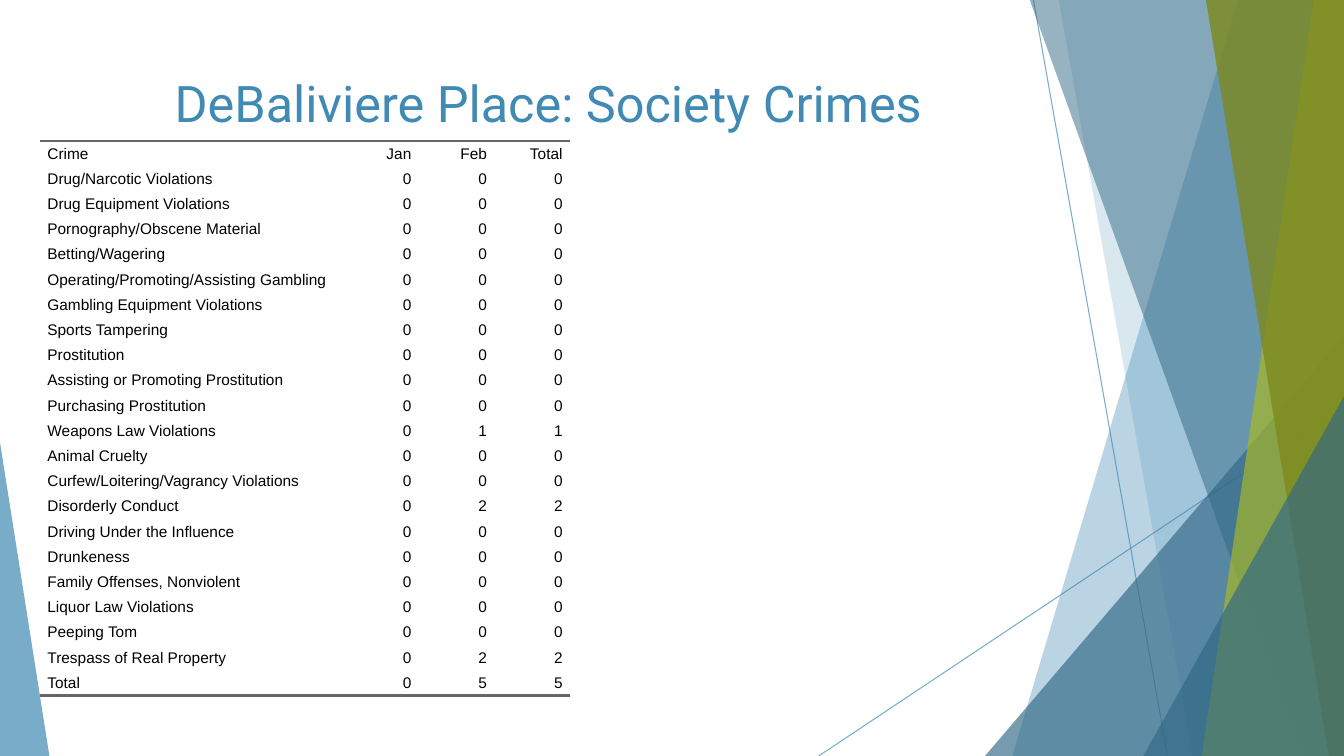
from collections import namedtuple
from dataclasses import dataclass

from lxml import etree
from pptx import Presentation
from pptx.dml.color import RGBColor
from pptx.enum import shapes, text
from pptx.oxml import ns, parse_xml
from pptx.util import Inches, Pt

Box = namedtuple("Box", "left top width height")


@dataclass(frozen=True)
class Theme:
    """Colours, fonts and type sizes of the slide."""
    blue: str = "418AB3"
    deep_blue: str = "316886"
    lime: str = "A6B727"
    olive: str = "7D891D"
    rule: str = "666666"
    ink: str = "000000"
    title_font: str = "Roboto"
    table_font: str = "Arial"
    title_size: int = 36
    table_size: int = 11
    rule_width: int = 2
    plain_table: str = "{2D5ABB26-0587-4C30-8999-92F81FD0307C}"


THEME = Theme()
HEADER = ("Crime", "Jan", "Feb", "Total")
COLUMN_WIDTHS = (3, 0.75, 0.75, 0.75)
ROW_HEIGHT = 0.25
CRIMES = (
    ("Drug/Narcotic Violations", 0, 0),
    ("Drug Equipment Violations", 0, 0),
    ("Pornography/Obscene Material", 0, 0),
    ("Betting/Wagering", 0, 0),
    ("Operating/Promoting/Assisting Gambling", 0, 0),
    ("Gambling Equipment Violations", 0, 0),
    ("Sports Tampering", 0, 0),
    ("Prostitution", 0, 0),
    ("Assisting or Promoting Prostitution", 0, 0),
    ("Purchasing Prostitution", 0, 0),
    ("Weapons Law Violations", 0, 1),
    ("Animal Cruelty", 0, 0),
    ("Curfew/Loitering/Vagrancy Violations", 0, 0),
    ("Disorderly Conduct", 0, 2),
    ("Driving Under the Influence", 0, 0),
    ("Drunkeness", 0, 0),
    ("Family Offenses, Nonviolent", 0, 0),
    ("Liquor Law Violations", 0, 0),
    ("Peeping Tom", 0, 0),
    ("Trespass of Real Property", 0, 2),
)


def set_colour(fill, colour, opacity):
    """Make a fill solid with the given opacity in percent."""
    fill.solid()
    fill.fore_color.rgb = RGBColor.from_string(colour)
    for element in fill._xPr.iter(ns.qn("a:srgbClr")):
        etree.SubElement(element, ns.qn("a:alpha")).set("val", str(opacity * 1000))


def finish_facet(shape, colour, opacity):
    """Give a facet its colour, without outline or shadow."""
    set_colour(shape.fill, colour, opacity)
    shape.line.fill.background()
    shape.shadow.inherit = False


def add_thin_line(slide, box, start, end):
    """Draw a fine line between two points of the box."""
    points = [Inches(origin + offset) for point in (start, end)
              for origin, offset in zip(box[:2], point)]
    line = slide.shapes.add_connector(shapes.MSO_CONNECTOR.STRAIGHT, *points)
    line.line.width = Pt(0.75)
    set_colour(line.line.fill, THEME.blue, 70)
    etree.SubElement(line._element.spPr, ns.qn("a:effectLst"))


def add_slanted_facet(slide, box, top_x, bottom_x, colour, opacity):
    """Fill the box from a slanted left edge to its right side."""
    top, bottom = box.top - 0.01, box.top + box.height
    right = box.left + box.width
    corners = [(Inches(x), Inches(y)) for x, y in (
        (box.left + top_x, top), (right, top), (right, bottom), (box.left + bottom_x, bottom))]
    builder = slide.shapes.build_freeform(*corners[0])
    builder.add_line_segments(corners[1:], close=True)
    finish_facet(builder.convert_to_shape(), colour, opacity)


def add_corner_facet(slide, box, apex, colour, opacity):
    """Fill the box with a triangle whose apex lies at a share of its width."""
    triangle = slide.shapes.add_shape(shapes.MSO_SHAPE.ISOSCELES_TRIANGLE, *map(Inches, box))
    triangle.adjustments[0] = apex
    finish_facet(triangle, colour, opacity)


def add_right_facets(slide, box):
    """Layer the lines and facets of the right-hand decoration."""
    def corner(width, height):
        """Place a deep blue triangle in the bottom right corner."""
        corner_box = Box(box.left + box.width - width, box.top + box.height - height, width, height)
        add_corner_facet(slide, corner_box, 1, THEME.deep_blue, 66)

    add_thin_line(slide, box, (2.13, 0), (3.46, box.height))
    add_thin_line(slide, box, (box.width, 4.03), (0, box.height))
    add_slanted_facet(slide, box, 4.16, 1.92, THEME.blue, 36)
    add_slanted_facet(slide, box, 2.38, 3.71, THEME.blue, 20)
    corner(3.56, 4.17)
    add_slanted_facet(slide, box, 2.09, 4.79, THEME.deep_blue, 50)
    add_slanted_facet(slide, box, 4.91, 3.8, THEME.lime, 70)
    add_slanted_facet(slide, box, 3.84, 5.06, THEME.olive, 80)
    corner(1.99, 3.57)


def set_borders(cell, ruled_sides):
    """Rule the named sides of a cell and leave the others bare."""
    properties = cell._tc.get_or_add_tcPr()
    for index, side in enumerate(("lnL", "lnR", "lnT", "lnB")):
        paint = "<a:noFill/>"
        if side in ruled_sides:
            paint = f'<a:solidFill><a:srgbClr val="{THEME.rule}"/></a:solidFill>'
        border = f'<a:{side} {ns.nsdecls("a")} w="{Pt(THEME.rule_width)}">{paint}</a:{side}>'
        properties.insert(index, parse_xml(border))


def fill_cell(cell, value, align, ruled_sides):
    """Write one table cell with its alignment and rules."""
    cell.margin_left = cell.margin_right = cell.margin_top = cell.margin_bottom = 0
    cell.vertical_anchor = text.MSO_ANCHOR.MIDDLE
    cell.fill.background()
    set_borders(cell, ruled_sides)
    paragraph = cell.text_frame.paragraphs[0]
    paragraph.text = str(value)
    paragraph.alignment = align
    paragraph.space_after = Pt(5)
    for side in ("marL", "marR"):
        paragraph._p.get_or_add_pPr().set(side, str(Inches(0.07)))
    paragraph.font.name = THEME.table_font
    paragraph.font.size = Pt(THEME.table_size)
    paragraph.font.color.rgb = RGBColor.from_string(THEME.ink)


def add_crime_table(slide, box):
    """Build the monthly crime table with a total column and row."""
    january, february = (sum(crime[month] for crime in CRIMES) for month in (1, 2))
    counts = CRIMES + (("Total", january, february),)
    rows = [HEADER] + [(name, jan, feb, jan + feb) for name, jan, feb in counts]
    frame = slide.shapes.add_table(len(rows), len(HEADER), *map(Inches, box))
    table = frame.table
    table.first_row = table.horz_banding = False
    table._tbl.tblPr.find(ns.qn("a:tableStyleId")).text = THEME.plain_table
    for column, width in zip(table.columns, COLUMN_WIDTHS):
        column.width = Inches(width)
    ruled = {0: ("lnT", "lnB"), len(rows) - 1: ("lnB",)}
    for row_index, row in enumerate(rows):
        table.rows[row_index].height = Inches(ROW_HEIGHT)
        for column_index, value in enumerate(row):
            align = text.PP_ALIGN.RIGHT if column_index else text.PP_ALIGN.LEFT
            fill_cell(table.cell(row_index, column_index), value, align, ruled.get(row_index, ()))


def add_title(slide, box):
    """Centre the slide title at the top of its box."""
    frame = slide.shapes.add_textbox(*map(Inches, box)).text_frame
    frame.word_wrap = True
    frame.vertical_anchor = text.MSO_ANCHOR.TOP
    paragraph = frame.paragraphs[0]
    paragraph.text = "DeBaliviere Place: Society Crimes"
    paragraph.alignment = text.PP_ALIGN.CENTER
    paragraph.font.name = THEME.title_font
    paragraph.font.size = Pt(THEME.title_size)
    paragraph.font.color.rgb = RGBColor.from_string(THEME.blue)


def main():
    """Build and save the one-slide presentation."""
    presentation = Presentation()
    presentation.slide_width, presentation.slide_height = Inches(13.33), Inches(7.5)
    slide = presentation.slides.add_slide(presentation.slide_layouts[6])
    add_right_facets(slide, Box(8.12, 0, 5.21, 7.5))
    add_corner_facet(slide, Box(0, 4.39, 0.49, 3.11), 0, THEME.blue, 70)
    add_crime_table(slide, Box(0.4, 1.4, sum(COLUMN_WIDTHS), ROW_HEIGHT * (len(CRIMES) + 2)))
    add_title(slide, Box(0.74, 0.67, 9.4, 1.44))
    presentation.save("out.pptx")


if __name__ == "__main__":
    main()
